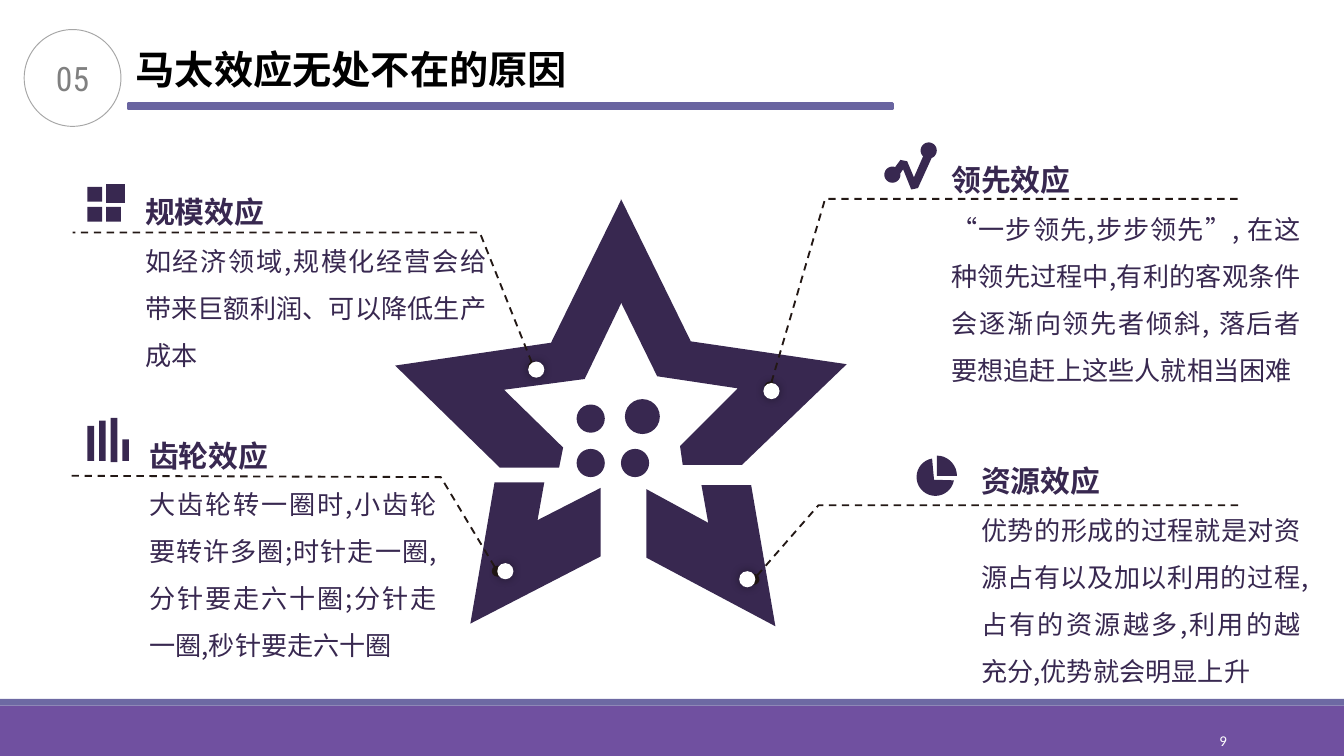
"""Build the slide on why the Matthew effect is everywhere."""
from math import cos, radians, sin

from lxml.etree import SubElement
from pptx import Presentation
from pptx.dml.color import RGBColor
from pptx.enum.dml import MSO_LINE
from pptx.enum.shapes import MSO_SHAPE
from pptx.enum.text import MSO_ANCHOR, MSO_AUTO_SIZE, PP_ALIGN
from pptx.oxml.ns import qn
from pptx.util import Inches, Pt

PLUM = RGBColor(0x38, 0x28, 0x50)
FOOTER = RGBColor(0x70, 0x50, 0xA0)
STRIPE = RGBColor(0x6D, 0x69, 0xA3)
RULE = RGBColor(0x69, 0x64, 0xA0)
INK = RGBColor(0x23, 0x18, 0x15)
GRAY = RGBColor(0x80, 0x80, 0x80)
RING = RGBColor(0xA6, 0xA6, 0xA6)
WHITE = RGBColor(0xFF, 0xFF, 0xFF)
BLACK = RGBColor(0, 0, 0)
CJK = "Noto Sans CJK SC"

EFFECTS = [
    ("领先效应", "“一步领先,步步领先”, 在这种领先过程中,有利的客观条件会逐渐向领先者倾斜, 落后者要想追赶上这些人就相当困难",
     (6.95, 1, 2.86, 1.91), [(5.73, 2.88), (6.14, 1.48), (9.23, 1.48)], (5.68, 2.85)),
    ("规模效应", "如经济领域,规模化经营会给带来巨额利润、可以降低生产成本",
     (0.95, 1.24, 2.8, 1.56), [(3.97, 2.73), (3.57, 1.73), (0.54, 1.73)], (3.93, 2.69)),
    ("齿轮效应", "大齿轮转一圈时,小齿轮要转许多圈;时针走一圈,分针要走六十圈;分针走一圈,秒针要走六十圈",
     (0.98, 3.05, 2.4, 1.91), [(3.7, 4.25), (3.28, 3.55), (0.51, 3.54)], (3.7, 4.19)),
    ("资源效应", "优势的形成的过程就是对资源占有以及加以利用的过程,占有的资源越多,利用的越充分,优势就会明显上升",
     (7.17, 3.24, 2.64, 1.91), [(5.61, 4.31), (6.09, 3.76), (9.25, 3.76)], (5.5, 4.25)),
]
STAR = [
    [(4.81, 3.64), (4.81, 4.15), (5.77, 4.66), (5.59, 3.61), (5.22, 3.61), (5.27, 3.89)],
    [(4.47, 3.63), (4, 3.87), (4.05, 3.59), (3.68, 3.59), (3.5, 4.64), (4.47, 4.14)],
    [(5.14, 2.54), (4.62, 1.48), (4.62, 2.25), (4.89, 2.8), (5.49, 2.89),
     (5.06, 3.32), (5.08, 3.46), (5.52, 3.46), (6.3, 2.71)],
    [(4.1, 2.55), (2.94, 2.72), (3.72, 3.48), (4.16, 3.48), (4.19, 3.33),
     (3.75, 2.9), (4.35, 2.82), (4.62, 2.26), (4.62, 1.49)],
]
STAR_DOTS = [(4.29, 3.01, 0.21), (4.65, 2.97, 0.26), (4.29, 3.34, 0.21), (4.62, 3.34, 0.21)]
TILES = [(0.65, 1.39, 0.11), (0.79, 1.37, 0.14), (0.65, 1.54, 0.11), (0.79, 1.54, 0.11)]
BARS = [(3.17, 0.26), (3.13, 0.3), (3.11, 0.33), (3.27, 0.16)]
TREND_LEFT, TREND_RIGHT = (6.64, 1.3), (6.91, 1.12)
TREND_TOP = [(6.7, 1.19), (6.75, 1.2), (6.8, 1.32), (6.87, 1.16)]
TREND_BOTTOM = [(6.93, 1.18), (6.83, 1.4), (6.78, 1.41), (6.72, 1.26), (6.7, 1.29)]


def add_shape(shapes, kind, box, fill=None, line=None, width=1):
    sp = shapes.add_shape(kind, *map(Inches, box))
    sp.shadow.inherit = False
    paint(sp, fill, line, width)
    return sp


def paint(sp, fill, line, width):
    if fill is None:
        sp.fill.background()
    else:
        sp.fill.solid()
        sp.fill.fore_color.rgb = fill
    if line is None:
        sp.line.fill.background()
    else:
        sp.line.color.rgb = line
        sp.line.width = Pt(width)


def add_free(shapes, points, fill=None, line=None):
    pts = [(Inches(x), Inches(y)) for x, y in points]
    builder = shapes.build_freeform(*pts[0])
    builder.add_line_segments(pts[1:], close=fill is not None)
    sp = builder.convert_to_shape()
    sp.shadow.inherit = False
    paint(sp, fill, line, 1)
    return sp


def arc(cx, cy, radius, start, end, step=10):
    return [(cx + radius * cos(radians(a)), cy + radius * sin(radians(a)))
            for a in range(start, end + 1, step)]


def style(p, size, font, color, bold=False, align=PP_ALIGN.LEFT):
    p.alignment = align
    p.font.size, p.font.name, p.font.bold = Pt(size), font, bold
    p.font.color.rgb = color
    SubElement(p._p.pPr.find(qn("a:defRPr")), qn("a:ea"), typeface=font)


def set_insets(tf, x, y):
    tf.margin_left = tf.margin_right = Inches(x)
    tf.margin_top = tf.margin_bottom = Inches(y)


def add_text(shapes, box, text, inset=(0.07, 0.04), wrap=True):
    tf = shapes.add_textbox(*map(Inches, box)).text_frame
    tf.word_wrap = wrap
    set_insets(tf, *inset)
    tf.text = text
    return tf


def add_effect(shapes, title, body, box):
    tf = add_text(shapes, box, f"{title}\n{body}", (0.13, 0.07))
    tf.auto_size = MSO_AUTO_SIZE.SHAPE_TO_FIT_TEXT
    for p, size, bold in zip(tf.paragraphs, (16, 14), (True, False)):
        p.line_spacing = 1.5
        style(p, size, CJK, PLUM, bold, PP_ALIGN.JUSTIFY)


def add_leader(shapes, points):
    sp = add_free(shapes, points, line=INK)
    sp.line.dash_style = MSO_LINE.DASH
    SubElement(sp._element.spPr.find(qn("a:ln")), qn("a:headEnd"), type="oval")


def add_marker(shapes, x, y):
    sp = add_shape(shapes, MSO_SHAPE.OVAL, (x, y, 0.12, 0.12), WHITE)
    effects = sp._element.spPr.find(qn("a:effectLst"))
    shadow = SubElement(effects, qn("a:outerShdw"), blurRad=str(Pt(5)), dist="0", dir="0")
    color = SubElement(shadow, qn("a:srgbClr"), val="000000")
    SubElement(color, qn("a:alpha"), val="40000")


def add_frame(shapes):
    add_shape(shapes, MSO_SHAPE.RECTANGLE, (0, 5.25, 10, 0.38), FOOTER)
    add_shape(shapes, MSO_SHAPE.RECTANGLE, (0, 5.2, 10, 0.05), STRIPE)
    tf = add_text(shapes, (8.12, 5.36, 1.08, 0.3), "9")
    tf.vertical_anchor = MSO_ANCHOR.MIDDLE
    style(tf.paragraphs[0], 8, "Calibri", WHITE, align=PP_ALIGN.RIGHT)
    add_shape(shapes, MSO_SHAPE.RECTANGLE, (0.95, 0.77, 5.69, 0.04), RULE, RULE, 1.25)
    ring = add_shape(shapes, MSO_SHAPE.OVAL, (0.18, 0.22, 0.72, 0.72), line=RING, width=0.5)
    tf = ring.text_frame
    set_insets(tf, 0.07, 0.04)
    tf.vertical_anchor = MSO_ANCHOR.MIDDLE
    tf.text = "05"
    style(tf.paragraphs[0], 18, "Roboto Condensed", GRAY, align=PP_ALIGN.CENTER)
    tf = add_text(shapes, (0.94, 0.3, 3.37, 0.43), "马太效应无处不在的原因", wrap=False)
    tf.auto_size = MSO_AUTO_SIZE.SHAPE_TO_FIT_TEXT
    style(tf.paragraphs[0], 21, CJK, BLACK, True)


def add_icons(shapes):
    trend = (TREND_TOP + arc(*TREND_RIGHT, 0.06, 130, 430) + TREND_BOTTOM
             + arc(*TREND_LEFT, 0.06, 0, 290))
    add_free(shapes, trend, PLUM)
    tiles = shapes.add_group_shape().shapes
    for x, y, side in TILES:
        add_shape(tiles, MSO_SHAPE.RECTANGLE, (x, y, side, side), PLUM)
    pie = shapes.add_group_shape().shapes
    add_free(pie, [(6.95, 3.57)] + arc(6.96, 3.55, 0.14, 10, 260), PLUM)
    add_free(pie, [(6.97, 3.54)] + arc(6.97, 3.54, 0.15, 270, 360), PLUM)
    bars = shapes.add_group_shape().shapes
    for i, (top, height) in enumerate(BARS):
        add_shape(bars, MSO_SHAPE.RECTANGLE, (0.65 + 0.26 * i / 3, top, 0.05, height), PLUM)


def main():
    prs = Presentation()
    prs.slide_width, prs.slide_height = Inches(10), Inches(10 * 9 / 16)
    shapes = prs.slides.add_slide(prs.slide_layouts[6]).shapes
    add_frame(shapes)
    for points in STAR:
        add_free(shapes, points, PLUM)
    for x, y, size in STAR_DOTS:
        add_shape(shapes, MSO_SHAPE.OVAL, (x, y, size, size), PLUM)
    for title, body, box, leader, _ in EFFECTS:
        add_effect(shapes, title, body, box)
        add_leader(shapes, leader)
    add_icons(shapes)
    for *_, marker in EFFECTS:
        add_marker(shapes, *marker)
    prs.save("out.pptx")


if __name__ == "__main__":
    main()
